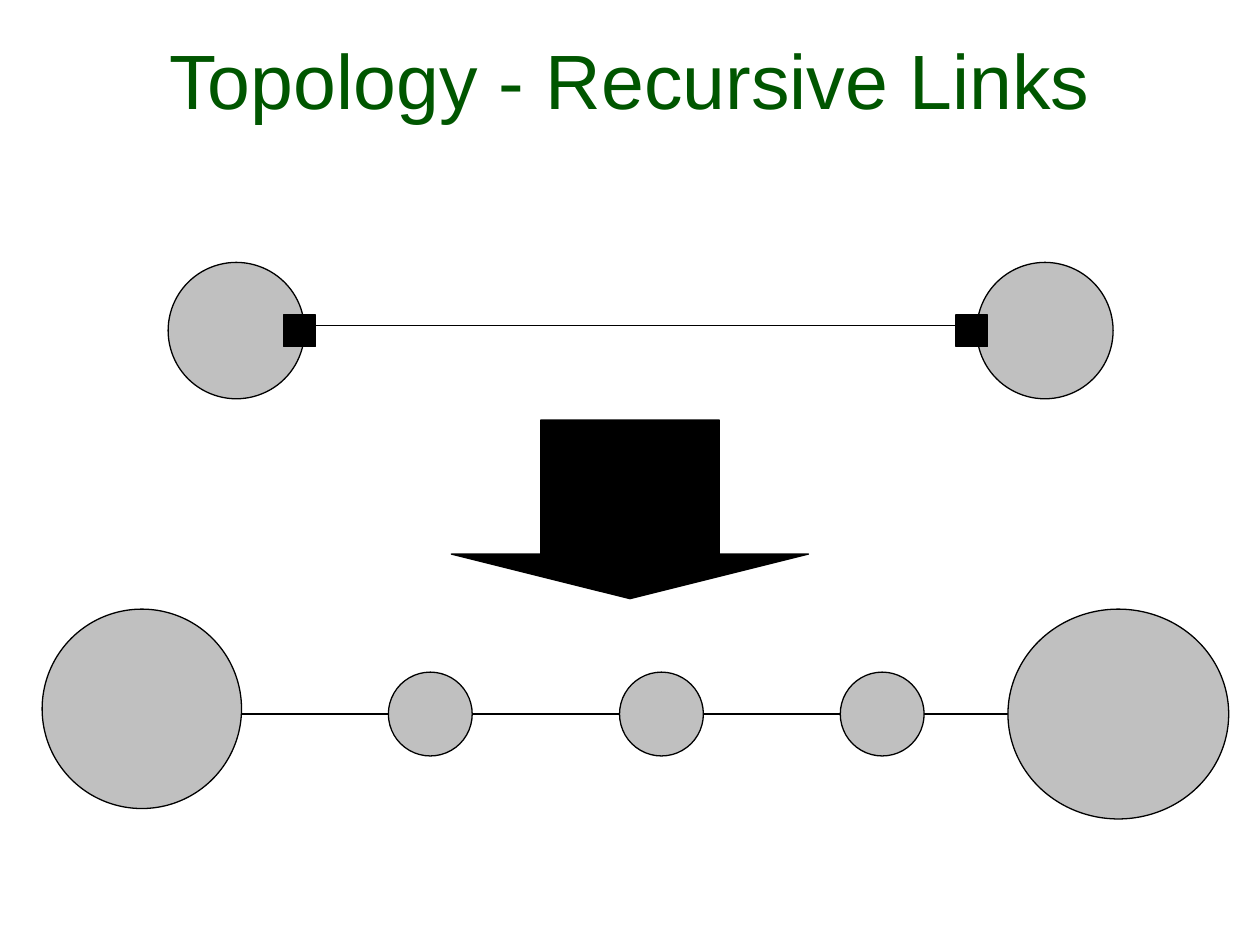
from lxml.etree import SubElement
from pptx import Presentation
from pptx.dml.color import RGBColor
from pptx.enum.shapes import MSO_CONNECTOR, MSO_SHAPE
from pptx.enum.text import MSO_ANCHOR, PP_ALIGN
from pptx.oxml.ns import qn
from pptx.util import Cm, Pt

COLORS = {"title": "005600", "node": "C0C0C0", "ink": "000000"}


def color(name):
    return RGBColor.from_string(COLORS[name])


def add_solid(s, kind, fill, x, y, w, h):
    sp = s.shapes.add_shape(kind, Cm(x), Cm(y), Cm(w), Cm(h))
    sp.shadow.inherit = False
    sp.fill.solid()
    sp.fill.fore_color.rgb = color(fill)
    sp.line.color.rgb = color("ink")
    sp.line.width = Pt(0.75)
    return sp


def add_node(s, x, y, w, h):
    return add_solid(s, MSO_SHAPE.OVAL, "node", x, y, w, h)


def add_link(s, x, y, length):
    ln = s.shapes.add_connector(
        MSO_CONNECTOR.STRAIGHT, Cm(x), Cm(y), Cm(x + length), Cm(y))
    ln.line.color.rgb = color("ink")
    ln.line.width = Pt(0.75)
    SubElement(ln._element.spPr, qn("a:effectLst"))


def add_title(s, x, y, w, h):
    sp = s.shapes.title
    sp.left, sp.top, sp.width, sp.height = Cm(x), Cm(y), Cm(w), Cm(h)
    tf = sp.text_frame
    tf.text = "Topology - Recursive Links"
    tf.vertical_anchor = MSO_ANCHOR.MIDDLE
    p = tf.paragraphs[0]
    p.alignment = PP_ALIGN.CENTER
    p.font.name = "Arial"
    p.font.size = Pt(44)
    p.font.color.rgb = color("title")


def add_direct_link(s, x, y, w, h):
    """Two end nodes joined by one link between their ports."""
    port = 0.64
    left_port, right_port = x + 2.33, x + 15.88
    for node_x in (x, x + w - h):
        add_node(s, node_x, y, h, h)
    for port_x in (left_port, right_port):
        add_solid(s, MSO_SHAPE.RECTANGLE, "ink", port_x, y + 1.06, port, port)
    add_link(s, left_port + port, y + 1.27, right_port - left_port - port)


def add_expanded_link(s, x, y, w, h):
    """The same link opened up into a chain of hops."""
    left_d, right_w, hop_d, link = 4.02, 4.45, 1.69, 3.18
    middle = y + h / 2
    # Links lie beneath the nodes
    for dx in (left_d, 8.68, 13.12, 17.15):
        add_link(s, x + dx, middle, link)
    # End nodes
    add_node(s, x, y, left_d, left_d)
    add_node(s, x + w - right_w, y, right_w, h)
    # Hops
    for dx in (6.98, 11.64, 16.09):
        add_node(s, x + dx, middle - hop_d / 2, hop_d, hop_d)


def add_down_arrow(s, x, y, w, h):
    sp = add_solid(s, MSO_SHAPE.DOWN_ARROW, "ink", x, y, w, h)
    sp.adjustments[0] = 0.5
    sp.adjustments[1] = 0.25


def main():
    prs = Presentation()
    prs.slide_width, prs.slide_height = Cm(25.4), Cm(19.05)
    s = prs.slides.add_slide(prs.slide_layouts[5])
    add_title(s, 0, 0.42, 25.4, 2.33)
    add_direct_link(s, 3.39, 5.29, 19.05, 2.75)
    add_expanded_link(s, 0.85, 12.28, 23.92, 4.23)
    add_down_arrow(s, 9.1, 8.47, 7.2, 3.6)
    prs.save("out.pptx")


if __name__ == "__main__":
    main()
